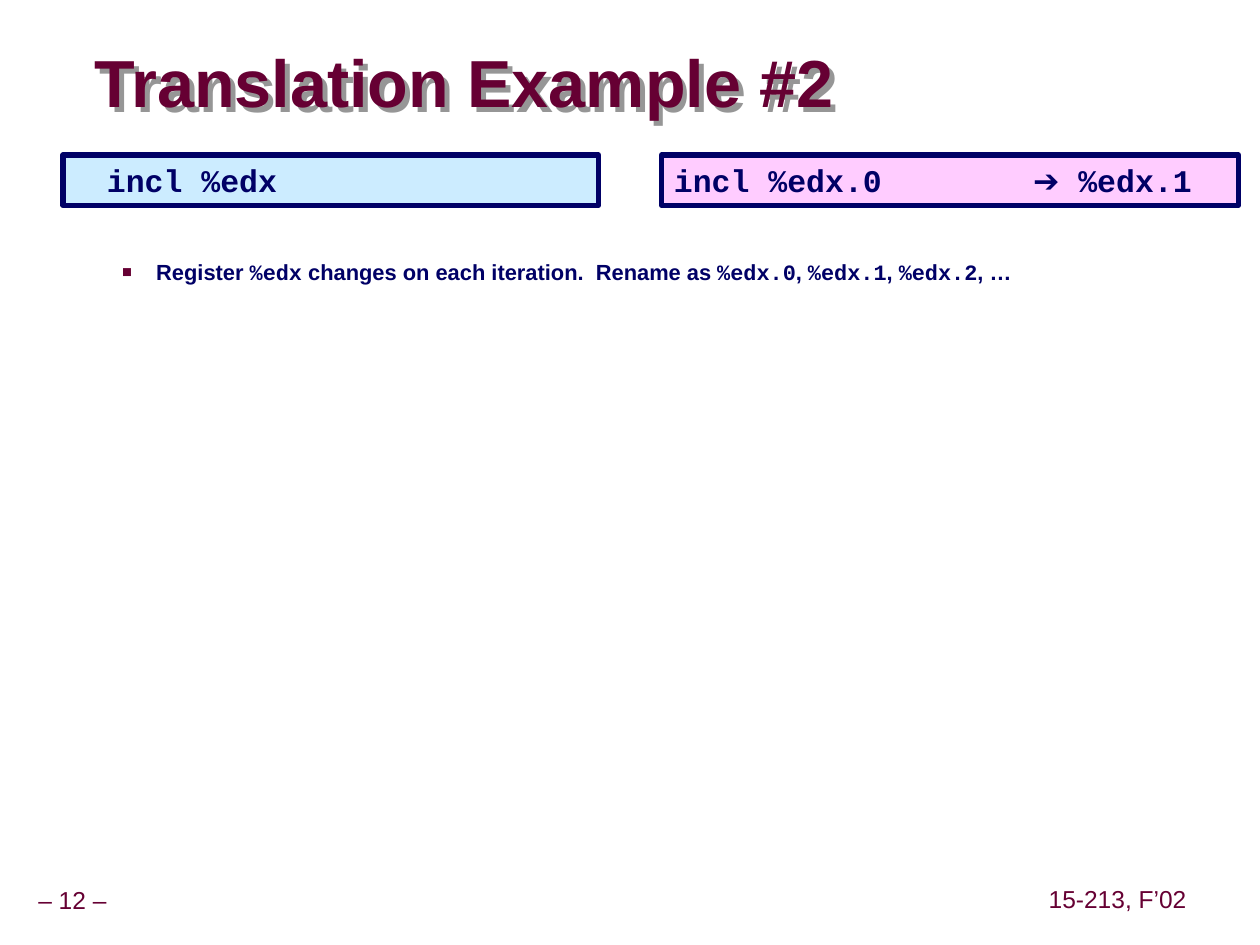
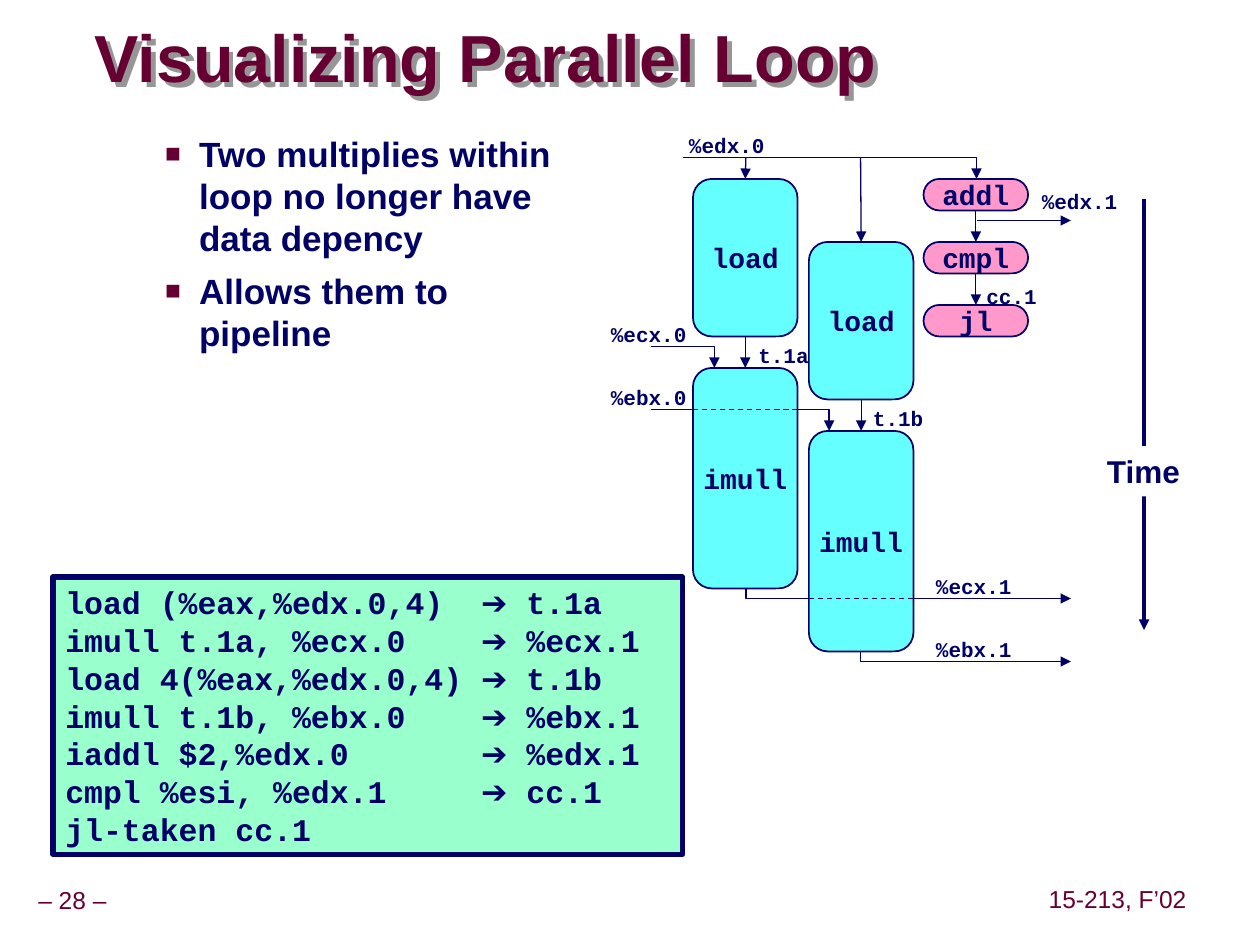
import lxml.etree
import pptx
import pptx.dml.color
import pptx.enum.dml
import pptx.enum.shapes
import pptx.enum.text
import pptx.oxml.ns
import pptx.util

SHAPES = pptx.enum.shapes.MSO_SHAPE
ALIGN = pptx.enum.text.PP_ALIGN
ANCHOR = pptx.enum.text.MSO_ANCHOR
SANS, MONO = "Arial", "Courier New"
COLORS = {
    "maroon": "660033", "navy": "000066", "white": "FFFFFF", "shadow": "969696",
    "source": "CCECFF", "renamed": "FFCCFF", "listing": "99FFCC",
    "long_op": "66FFFF", "short_op": "FF99CC",
}
LEADING = 1.2  # line pitch as a share of the text size


def cell(count):
    """Length of a number of grid cells; the slide has 120 columns and 90 rows."""
    return pptx.util.Inches(round(count / 12, 2))


def place(box, area):
    box.left, box.top, box.width, box.height = map(cell, area)


def color(name):
    return pptx.dml.color.RGBColor.from_string(COLORS[name])


def add_xml(parent, tag, **attributes):
    return lxml.etree.SubElement(parent, pptx.oxml.ns.qn(tag), attributes)


# Text
def write(box, lines, size=18, font=SANS, alt_font=MONO, ink="navy", bold=True,
          align=ALIGN.LEFT, anchor=ANCHOR.TOP, leading=LEADING, margins=(0.1, 0.05),
          wrap=True, tabs=(), bullet=False, gap=0):
    """Fill a box with lines; parts between backticks take alt_font."""
    frame = box.text_frame
    frame.auto_size = pptx.enum.text.MSO_AUTO_SIZE.NONE
    frame.word_wrap = wrap
    frame.vertical_anchor = anchor
    frame.margin_left = frame.margin_right = pptx.util.Inches(margins[0])
    frame.margin_top = frame.margin_bottom = pptx.util.Inches(margins[1])
    for index, line in enumerate(lines):
        para = frame.add_paragraph() if index else frame.paragraphs[0]
        para.alignment = align
        para.line_spacing = pptx.util.Pt(round(size * leading, 1))
        para.space_before = pptx.util.Pt(gap if index else 0)
        if bullet:
            add_bullet(para)
        if tabs:
            stops = add_xml(para._p.get_or_add_pPr(), "a:tabLst")
            for stop in tabs:
                add_xml(stops, "a:tab", pos=str(pptx.util.Inches(stop)), algn="l")
        for part, words in enumerate(line.split("`")):
            if words:
                span = para.add_run()
                span.text = words
                span.font.name = alt_font if part % 2 else font
                span.font.size = pptx.util.Pt(size)
                span.font.bold = bold
                span.font.color.rgb = color(ink)


def add_bullet(para):
    para.level = 1
    props = para._p.get_or_add_pPr()
    props.set("marL", str(pptx.util.Inches(0.81)))
    props.set("indent", str(pptx.util.Inches(-0.27)))
    add_xml(add_xml(props, "a:buClr"), "a:srgbClr", val=COLORS["maroon"])
    add_xml(props, "a:buSzPct", val="75000")
    add_xml(props, "a:buFont", typeface=SANS)
    add_xml(props, "a:buChar", char="■")


def add_text(page, area, lines, **style):
    box = page.shapes.add_textbox(*map(cell, area))
    write(box, lines, **style)
    return box


# Shapes and lines
def add_block(page, area, fill, lines, kind=SHAPES.RECTANGLE, line=None, **style):
    box = page.shapes.add_shape(kind, *map(cell, area))
    box.shadow.inherit = False
    box.fill.solid()
    box.fill.fore_color.rgb = color(fill)
    if line:
        box.line.color.rgb = color("navy")
        box.line.width = pptx.util.Pt(line)
    else:
        box.line.fill.background()
    write(box, lines, **style)
    return box


def draw_line(shape, width, arrow, dashed=False):
    shape.line.color.rgb = color("navy")
    shape.line.width = pptx.util.Pt(width)
    if dashed:
        shape.line.dash_style = pptx.enum.dml.MSO_LINE.DASH
    if arrow:
        outline = shape.element.spPr.find(pptx.oxml.ns.qn("a:ln"))
        add_xml(outline, "a:tailEnd", type="triangle")


def add_wire(page, start, end, begin_box=None, end_box=None, width=0.75,
             arrow=True, dashed=False):
    """Straight line; boxes are joined from bottom centre to top centre."""
    wire = page.shapes.add_connector(
        pptx.enum.shapes.MSO_CONNECTOR.STRAIGHT, *map(cell, start + end))
    if begin_box:
        wire.begin_connect(begin_box, 2)
    if end_box:
        wire.end_connect(end_box, 0)
    draw_line(wire, width, arrow, dashed)
    add_xml(wire.element.spPr, "a:effectLst")


def add_bent_wire(page, points):
    points = [(cell(x), cell(y)) for x, y in points]
    builder = page.shapes.build_freeform(*points[0])
    builder.add_line_segments(points[1:], close=False)
    wire = builder.convert_to_shape()
    wire.shadow.inherit = False
    wire.fill.background()
    draw_line(wire, 0.75, arrow=True)


# Shared parts of a slide
def add_page(deck, number, title, title_area, points, body_area, body_size):
    page = deck.slides.add_slide(deck.slide_layouts[1])
    heading, body = page.placeholders
    place(heading, title_area)
    write(heading, [title], size=38, ink="maroon", anchor=ANCHOR.MIDDLE,
          leading=0.87 * LEADING, margins=(0, 0))
    effects = add_xml(heading.element.spPr, "a:effectLst")
    shadow = add_xml(effects, "a:outerShdw", dist="50800", dir="2700000", algn="ctr")
    add_xml(shadow, "a:srgbClr", val=COLORS["shadow"])
    place(body, body_area)
    write(body, points, size=body_size, bullet=True, gap=6.2)
    footers = {f"– {number} –": (-1, 84, 15.7, 3.7), "15-213, F’02": (99.2, 83.9, 14.4, 3.7)}
    for words, area in footers.items():
        add_text(page, area, [words], size=14, ink="maroon", bold=False,
                 align=ALIGN.CENTER, anchor=ANCHOR.MIDDLE, leading=0.9 * LEADING,
                 margins=(0.05, 0.05), wrap=False)
    return page


def add_code(page, area, fill, lines, tab):
    add_block(page, area, fill, lines, line=3, font=MONO, alt_font=SANS, tabs=[tab])


# Data-flow diagram
def add_dataflow(page, left, top):
    def at(x, y):
        return left + x, top + y

    # Wires that turn or pass behind the blocks
    for points in (
        [(5, 3), (33, 3), (33, 5)],
        [(2, 21), (8, 21), (8, 23)],
        [(2, 27), (19, 27), (19, 29)],
        [(11, 44), (11, 45), (42, 45)],
        [(22, 50), (22, 51), (42, 51)],
    ):
        add_bent_wire(page, [at(*point) for point in points])

    def operation(name, x, y, height, fill, corner):
        box = add_block(page, at(x, y) + (10, height), fill, [name],
                        kind=SHAPES.ROUNDED_RECTANGLE, line=1, size=16, font=MONO,
                        align=ALIGN.CENTER, anchor=ANCHOR.MIDDLE, wrap=False)
        box.adjustments[0] = corner
        return box

    # Two multiply chains, the second one column right and six rows lower
    for x, y in ((6, 5), (17, 11)):
        load = operation("load", x, y, 15, "long_op", 0.18)
        multiply = operation("imull", x, y + 18, 21, "long_op", 0.18)
        add_wire(page, at(x + 5, 3), at(x + 5, y), end_box=load)
        add_wire(page, at(x + 5, y + 15), at(x + 5, y + 18), load, multiply)

    # Loop control chain
    above = None
    for step, name in enumerate(("addl", "cmpl", "jl")):
        y = 5 + 6 * step
        box = operation(name, 28, y, 3, "short_op", 0.5)
        if above:
            add_wire(page, at(33, y - 3), at(33, y), above, box)
        above = box
    add_wire(page, at(33, 9), at(42, 9))

    # Values crossing a block
    for x, y in ((6, 27), (17, 45)):
        add_wire(page, at(x + 10, y), at(x, y), arrow=False, dashed=True)

    # Value names
    for name, x, y in (
        ("%edx.0", 4.4, 0), ("%edx.1", 38, 5.4), ("cc.1", 32.8, 14.4),
        ("%ecx.0", -3, 18), ("%ebx.0", -3, 24), ("t.1a", 11, 20),
        ("t.1b", 22, 26), ("%ecx.1", 28, 42), ("%ebx.1", 28, 48),
    ):
        width = 1.2 * len(name) + 2.4
        add_text(page, at(x, y) + (width, 3.6), [name], size=12, font=MONO, wrap=False)


def add_time_axis(page, center, top, height):
    add_wire(page, (center, top), (center, top + height), width=2)
    add_block(page, (center - 5.2, top + 23.5, 10.2, 4.8), "white", ["Time"],
              align=ALIGN.CENTER)


# Slides
def add_translation_page(deck):
    page = add_page(
        deck, 12, "Translation Example #2", (9, 4.4, 108, 7.6),
        ["Register `%edx` changes on each iteration.  Rename as "
         "`%edx.0`, `%edx.1`, `%edx.2`, …"],
        (4, 24, 109, 4), 12.5)
    add_code(page, (6, 14.8, 51, 4.8), "source", ["\tincl %edx"], 0.25)
    add_code(page, (63, 14.8, 55, 4.8), "renamed", ["incl %edx.0\t`➔` %edx.1"], 2.85)


def add_parallel_loop_page(deck):
    page = add_page(
        deck, 28, "Visualizing Parallel Loop", (9, 2, 87, 7.6),
        ["Two multiplies within loop no longer have data depency",
         "Allows them to pipeline"],
        (8, 12, 48, 33), 20)
    add_code(page, (5, 55, 60, 26.4), "listing", [
        "load (%eax,%edx.0,4)\t`➔` t.1a",
        "imull t.1a, %ecx.0\t`➔` %ecx.1",
        "load 4(%eax,%edx.0,4)\t`➔` t.1b",
        "imull t.1b, %ebx.0\t`➔` %ebx.1",
        "iaddl $2,%edx.0\t`➔` %edx.1",
        "cmpl %esi, %edx.1\t`➔` cc.1",
        "jl-taken cc.1",
    ], 3.3)
    add_time_axis(page, 109, 19, 41)
    add_dataflow(page, 60, 12)


def main():
    deck = pptx.Presentation()
    deck.slide_width, deck.slide_height = cell(120), cell(90)
    add_translation_page(deck)
    add_parallel_loop_page(deck)
    deck.save("out.pptx")


if __name__ == "__main__":
    main()
